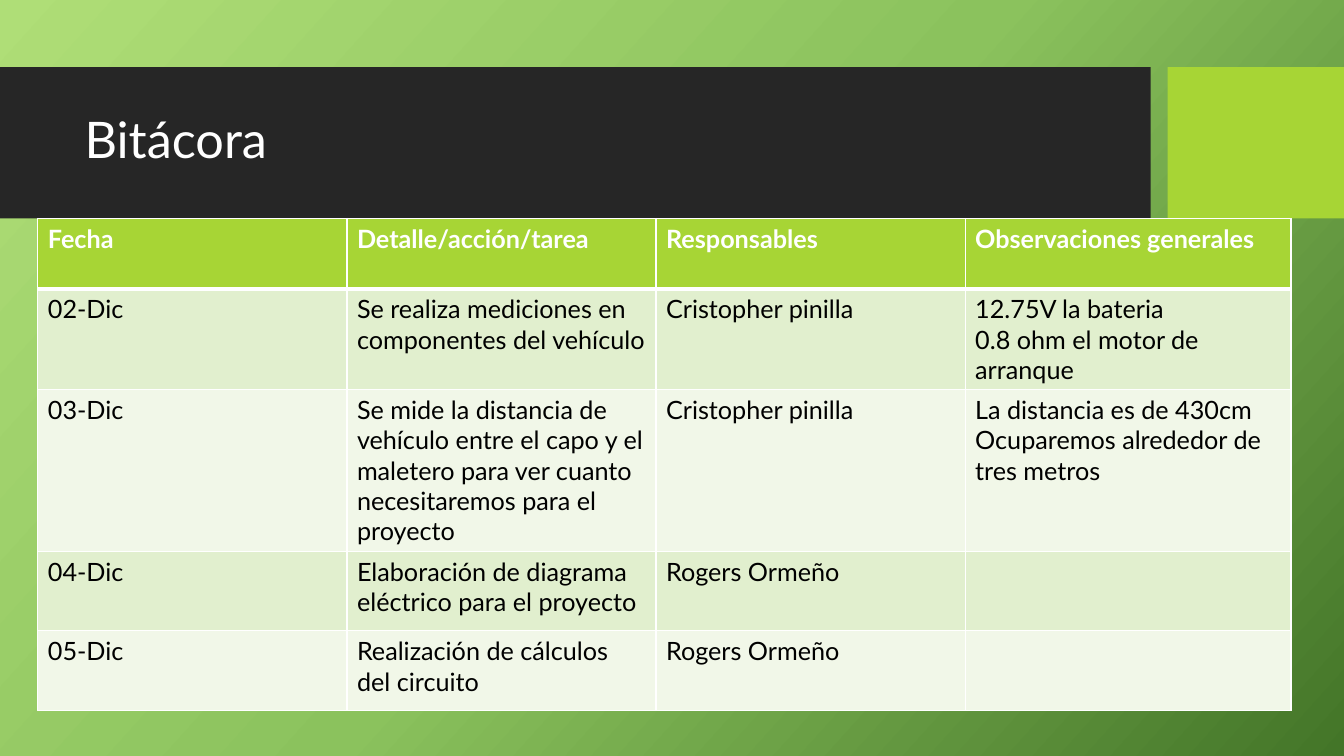
from copy import deepcopy

from lxml.etree import SubElement
from pptx import Presentation
from pptx.dml.color import RGBColor
from pptx.enum.shapes import MSO_SHAPE
from pptx.enum.text import MSO_ANCHOR
from pptx.oxml.ns import qn
from pptx.util import Inches, Pt

WHITE = RGBColor(0xFF, 0xFF, 0xFF)
BLACK = RGBColor(0x00, 0x00, 0x00)
CHARCOAL = RGBColor(0x26, 0x26, 0x26)
LIME = RGBColor(0xA7, 0xD5, 0x35)
BANDS = (RGBColor(0xE1, 0xEF, 0xCE), RGBColor(0xF1, 0xF7, 0xE8))
BACKDROP = (
    (0, RGBColor(0xAF, 0xDE, 0x77)),
    (0.5, RGBColor(0x8B, 0xC2, 0x5D)),
    (1, RGBColor(0x43, 0x75, 0x28)),
)
FONT = "Lato"

# The slide is a grid of 160 columns by 90 rows of square units
COLUMNS, ROWS = 160, 90
UNIT = Inches(7.5) / ROWS

COL_WIDTHS = (36.8, 36.8, 36.8, 38.8)
ROW_HEIGHTS = (8.4, 12, 19.2, 9.5, 9.5)
LOG = (
    ("Fecha", "Detalle/acción/tarea", "Responsables", "Observaciones generales"),
    ("02-Dic", "Se realiza mediciones en componentes del vehículo",
     "Cristopher pinilla", "12.75V la bateria\n0.8 ohm el motor de arranque"),
    ("03-Dic", "Se mide la distancia de vehículo entre el capo y el maletero "
     "para ver cuanto necesitaremos para el proyecto", "Cristopher pinilla",
     "La distancia es de 430cm\nOcuparemos alrededor de tres metros"),
    ("04-Dic", "Elaboración de diagrama eléctrico para el proyecto",
     "Rogers Ormeño", ""),
    ("05-Dic", "Realización de cálculos del circuito", "Rogers Ormeño", ""),
)


def units(*values):
    return [round(v * UNIT) for v in values]


def write(tf, text, size=18, color=BLACK, bold=False, spacing=None):
    tf.word_wrap = True
    for i, line in enumerate(text.split("\n")):
        p = tf.paragraphs[0] if i == 0 else tf.add_paragraph()
        p.line_spacing = spacing
        p.font.size = Pt(size)
        if line:
            r = p.add_run()
            r.text = line
            r.font.name = FONT
            r.font.size = Pt(size)
            r.font.bold = bold
            r.font.color.rgb = color


def paint_background(s):
    fill = s.background.fill
    fill.gradient()
    fill.gradient_angle = 360 - 42
    # A new gradient has two stops; add the middle one
    first = s.element.xpath(".//a:gs")[0]
    first.addnext(deepcopy(first))
    for stop, (position, color) in zip(fill.gradient_stops, BACKDROP):
        stop.position = position
        stop.color.rgb = color


def add_band(s, left, top, width, height, color):
    sp = s.shapes.add_shape(MSO_SHAPE.RECTANGLE, *units(left, top, width, height))
    sp.shadow.inherit = False
    sp.fill.solid()
    sp.fill.fore_color.rgb = color
    sp.line.fill.background()


def add_title(s, left, top, width, height, text):
    sp = s.shapes.add_textbox(*units(left, top, width, height))
    sp.text_frame.vertical_anchor = MSO_ANCHOR.MIDDLE
    write(sp.text_frame, text, size=36, color=WHITE, spacing=0.9)


def set_borders(cell, **widths):
    tcPr = cell._tc.get_or_add_tcPr()
    for side in "LRTB":
        ln = SubElement(tcPr, qn(f"a:ln{side}"), w=str(Pt(widths.get(side, 1))))
        fill = SubElement(ln, qn("a:solidFill"))
        SubElement(fill, qn("a:srgbClr"), val=str(WHITE))


def add_log(s, left, top):
    frame = s.shapes.add_table(
        len(LOG), len(COL_WIDTHS),
        *units(left, top, sum(COL_WIDTHS), sum(ROW_HEIGHTS)))
    table = frame.table
    for column, width in zip(table.columns, units(*COL_WIDTHS)):
        column.width = width
    for row, height in zip(table.rows, units(*ROW_HEIGHTS)):
        row.height = height
    for i, entries in enumerate(LOG):
        header = i == 0
        for j, text in enumerate(entries):
            cell = table.cell(i, j)
            # A thick rule parts the header from the entries
            set_borders(cell, B=3 if header else 1, T=3 if i == 1 else 1)
            cell.fill.solid()
            cell.fill.fore_color.rgb = LIME if header else BANDS[(i - 1) % 2]
            write(cell.text_frame, text, color=WHITE if header else BLACK,
                  bold=header)


def main():
    prs = Presentation()
    prs.slide_width, prs.slide_height = units(COLUMNS, ROWS)
    s = prs.slides.add_slide(prs.slide_layouts[6])
    paint_background(s)

    # Title bar and accent block
    add_band(s, 0, 8, 137, 18, CHARCOAL)
    add_band(s, 139, 8, 21, 18, LIME)
    add_title(s, 8.9, 9.8, 126, 14.2, "Bitácora")

    # Work log
    add_log(s, 4.5, 26)
    prs.save("out.pptx")


if __name__ == "__main__":
    main()
